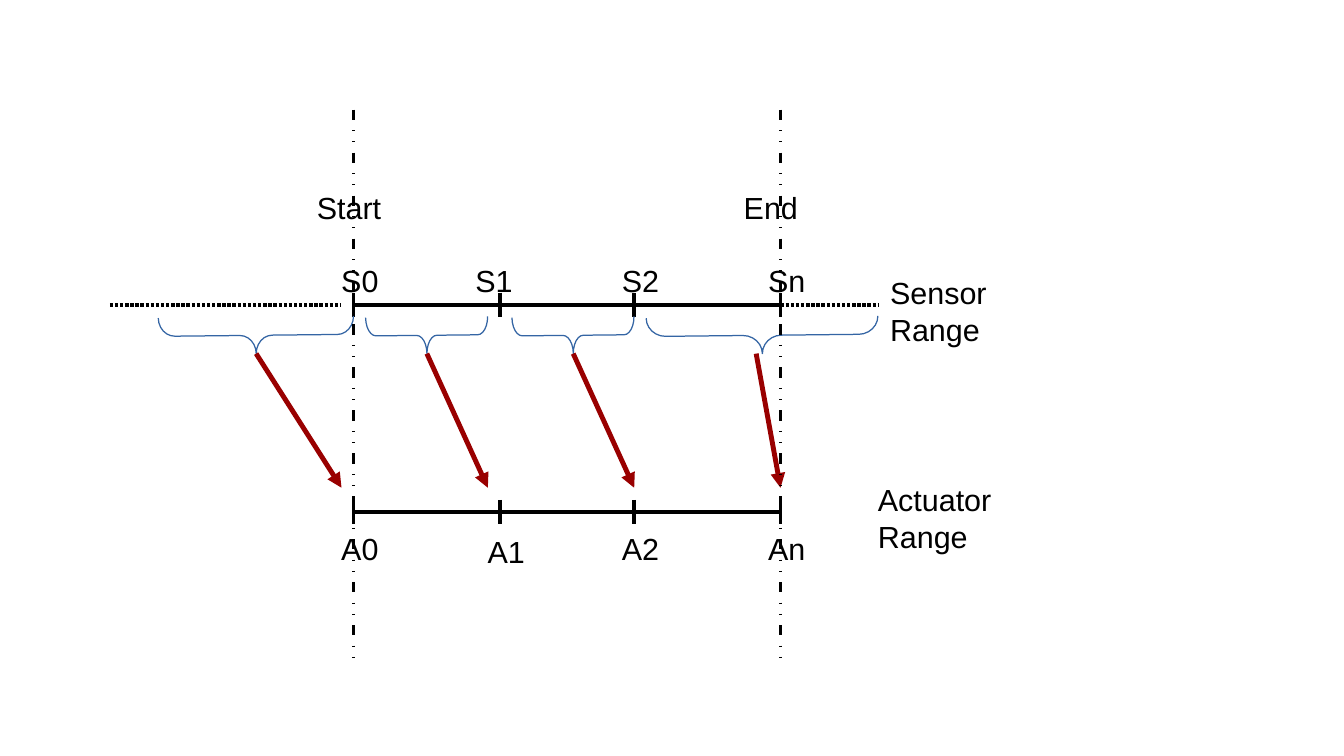
from typing import NamedTuple
from lxml.etree import SubElement as Sub
from pptx import Presentation
from pptx.dml.color import RGBColor
from pptx.enum.shapes import MSO_CONNECTOR as Link, MSO_SHAPE as Kind
from pptx.oxml.ns import qn
from pptx.util import Inches, Pt

BLACK = RGBColor(0x00, 0x00, 0x00)
BLUE = RGBColor(0x34, 0x65, 0xA4)
RED = RGBColor(0x99, 0x00, 0x00)
TICKS = (2.9, 4.1, 5.2, 6.4)
SENSOR, ACTOR = 2.5, 4.2
DASH = ((100, 50),)
DOTS = ((300, 300), (30, 300), (30, 300))


class Line(NamedTuple):
    x1: float
    y1: float
    x2: float
    y2: float
    dash: tuple = ()
    color: RGBColor = BLACK
    width: float = 0
    arrow: bool = False


class Brace(NamedTuple):
    left: float
    span: float


class Label(NamedTuple):
    text: str
    left: float
    top: float
    width: float
    height: float = 0.38


SCALES = [
    line
    for y in (SENSOR, ACTOR)
    for line in (
        Line(TICKS[0], y, TICKS[-1], y),
        *(Line(x, y - 0.1, x, y + 0.1) for x in TICKS),
    )
]
GUIDES = [
    Line(0.9, SENSOR, 2.8, SENSOR, DASH),
    Line(6.4, SENSOR, 7.2, SENSOR, DASH),
    *(Line(x, 0.9, x, 5.4, DOTS) for x in (TICKS[0], TICKS[-1])),
]
BRACES = [Brace(1.3, 1.6), Brace(3, 1), Brace(4.2, 1), Brace(5.3, 1.9)]
ARROWS = [
    Line(start, 2.9, end, 4, color=RED, width=2.89, arrow=True)
    for start, end in ((2.1, 2.8), (3.5, 4), (4.7, 5.2), (6.2, 6.4))
]
LABELS = [
    Label("Start", 2.5, 1.5, 0.8),
    Label("End", 6, 1.5, 0.8),
    Label("Sensor Range", 7.2, 2.2, 1.4, 0.66),
    Label("Actuator Range", 7.1, 3.9, 1.4, 0.66),
    *(Label(f"S{n}", x, 2.1, 1.2) for n, x in zip("012n", (2.7, 3.8, 5, 6.2))),
    *(
        Label(f"A{n}", x, y, 0.9)
        for n, x, y in zip("012n", (2.7, 3.9, 5, 6.2), (4.3, 4.32, 4.3, 4.3))
    ),
]


def draw_line(shapes, line: Line) -> None:
    """Draw a straight line with its dashes and arrowhead."""
    ends = map(Inches, line[:4])
    link = shapes.add_connector(Link.STRAIGHT, *ends)
    link.line.color.rgb = line.color
    link.line.width = Pt(line.width)
    props = link.line._get_or_add_ln()
    if line.dash:
        style = Sub(props, qn("a:custDash"))
        for mark, gap in line.dash:
            Sub(style, qn("a:ds"), d=str(mark * 1000), sp=str(gap * 1000))
    if line.arrow:
        Sub(props, qn("a:tailEnd"), type="triangle")
    Sub(link._element.spPr, qn("a:effectLst"))


def draw_brace(shapes, brace: Brace) -> None:
    """Draw a brace that points down from the sensor scale."""
    depth = 0.3
    left = brace.left + (brace.span - depth) / 2
    top = 2.75 - brace.span / 2
    box = map(Inches, (left, top, depth, brace.span))
    shape = shapes.add_shape(Kind.LEFT_BRACE, *box)
    shape.adjustments[0] = brace.span / 12 / depth
    shape.rotation = 269.4
    shape.shadow.inherit = False
    shape.fill.background()
    shape.line.color.rgb = BLUE
    shape.line.width = Pt(0)


def draw_label(shapes, label: Label) -> None:
    """Write a label in a wrapping text box."""
    frame = shapes.add_textbox(*map(Inches, label[1:])).text_frame
    frame.word_wrap = True
    frame.text = label.text
    font = frame.paragraphs[0].font
    font.name = "Arial"
    font.size = Pt(18)
    font.color.rgb = BLACK


def main() -> None:
    """Build the slide and save it."""
    deck = Presentation()
    deck.slide_width = Inches(11.02)
    deck.slide_height = Inches(6.2)
    shapes = deck.slides.add_slide(deck.slide_layouts[6]).shapes
    for line in SCALES:
        draw_line(shapes, line)
    for brace in BRACES:
        draw_brace(shapes, brace)
    for line in ARROWS + GUIDES:
        draw_line(shapes, line)
    for label in LABELS:
        draw_label(shapes, label)
    deck.save("out.pptx")


if __name__ == "__main__":
    main()
